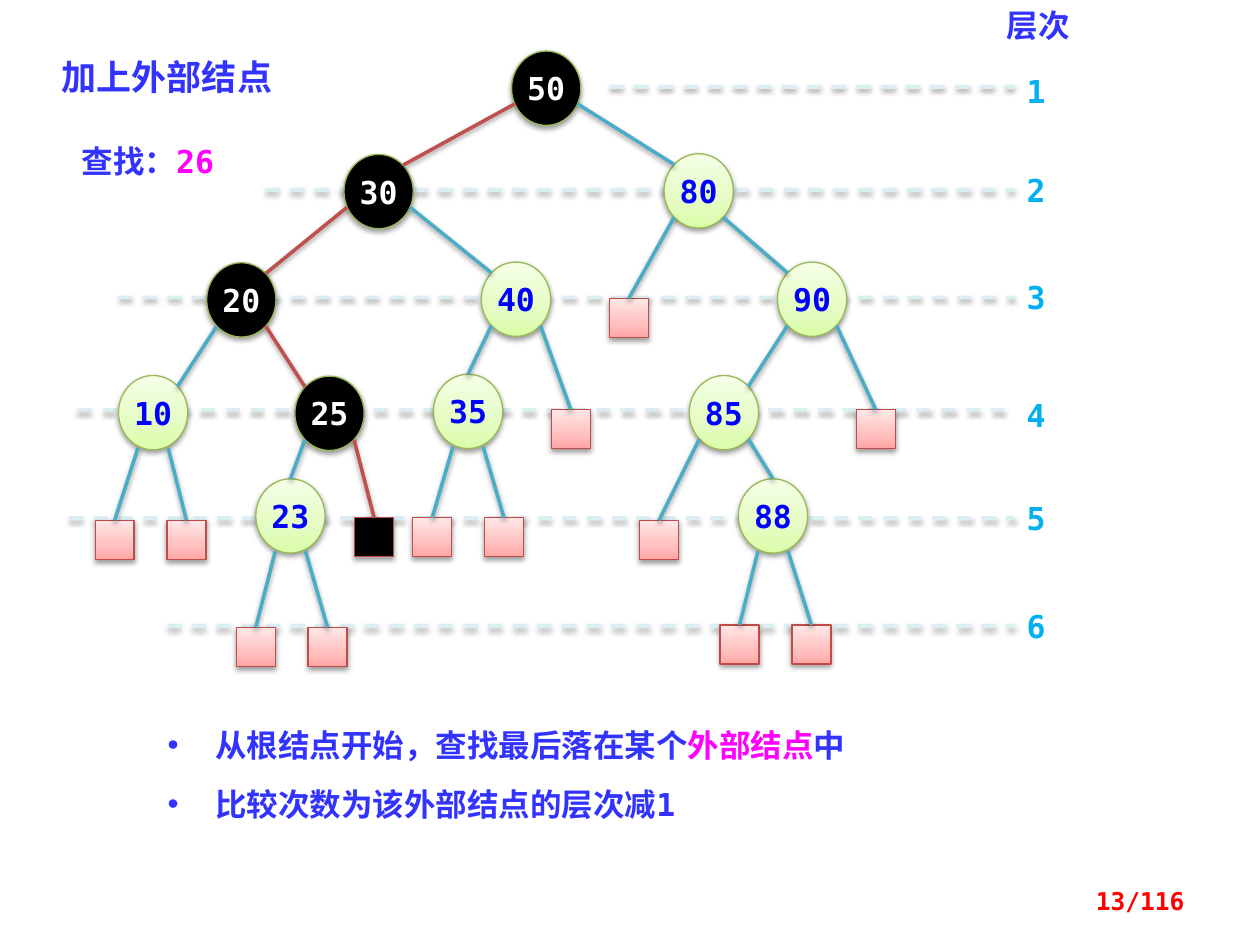
from pptx import Presentation
from pptx import util as u
from pptx.dml.color import RGBColor
from pptx.enum import dml, shapes, text
from pptx.oxml import ns
from lxml import etree

INK = RGBColor(0x33, 0x33, 0xFF)
KEY = RGBColor(0x00, 0x00, 0xFF)
PINK = RGBColor(0xFF, 0x00, 0xFF)
CYAN = RGBColor(0x00, 0xB0, 0xF0)
RED = RGBColor(0xFF, 0x00, 0x00)
BLACK = RGBColor(0x00, 0x00, 0x00)
WHITE = RGBColor(0xFF, 0xFF, 0xFF)
EDGE = RGBColor(0x4B, 0xAC, 0xC6)
VISITED = RGBColor(0xC0, 0x50, 0x4D)
GUIDE = RGBColor(0xDB, 0xEE, 0xF4)
GREEN_LINE = RGBColor(0x98, 0xB9, 0x55)
ROSE_LINE = RGBColor(0xBF, 0x4C, 0x48)
GREENS = [(0, "DAFDA7"), (35, "E4FCC2"), (100, "F5FFE7")]
ROSES = [(0, "FFA6A5"), (35, "FFC0BF"), (100, "FFE7E7")]

MONO, CJK, SERIF = "DejaVu Sans Mono", "Noto Sans CJK SC", "Times New Roman"
COLS, ROWS = 100, 75
NODE_W, NODE_H, LEAF = 5.5, 5.9, 3.1

LEVELS = [(48.4, 6.9, 5.2), (21.1, 15.1, 13.1), (9.4, 23.6, 21.6),
          (6.2, 32.5, 30.9), (5.5, 41.1, 39.1), (13.3, 49.7, 47.7)]
WIDE, DIAGONAL, STEEP = (2.5, 1.25), (1.95, 2.1), (1.2, 2.8)
NODES = {
    "50": (43.35, 7, WIDE, "30", "80"),
    "30": (30.05, 15.2, WIDE, "20", "40"),
    "80": (55.45, 15.15, DIAGONAL, (49.9, 23.7), "90"),
    "20": (19.15, 23.8, DIAGONAL, "10", "25"),
    "40": (40.95, 23.75, DIAGONAL, "35", (45.3, 32.5)),
    "90": (64.45, 23.75, DIAGONAL, "85", (69.5, 32.5)),
    "10": (12.15, 32.75, STEEP, (9.1, 41.3), (14.8, 41.3)),
    "25": (26.15, 32.8, DIAGONAL, "23", (29.7, 41.1)),
    "35": (37.15, 32.65, STEEP, (34.3, 41.1), (40, 41.1)),
    "85": (57.45, 32.75, DIAGONAL, (52.3, 41.3), "88"),
    "23": (23.05, 40.95, STEEP, (20.3, 49.8), (26, 49.8)),
    "88": (61.35, 40.95, STEEP, (58.7, 49.6), (64.4, 49.6)),
}
SEARCH = ["50", "30", "20", "25", (29.7, 41.1)]


def add_text(p, words, size=18, color=INK, font=MONO):
    r = p.add_run()
    r.text = words
    r.font.size, r.font.bold, r.font.name = u.Pt(size), True, font
    r.font.color.rgb = color
    etree.SubElement(r._r.get_or_add_rPr(), ns.qn("a:ea"), typeface=CJK)
    return r


class Board:
    def __init__(self, prs):
        self.cw, self.rh = prs.slide_width / COLS, prs.slide_height / ROWS
        self.s = prs.slides.add_slide(prs.slide_layouts[5])

    def box(self, x, y, w, h):
        return [u.Emu(round(v * k)) for v, k in
                zip((x, y, w, h), (self.cw, self.rh) * 2)]

    def shade(self, sp):
        pr = sp._element.spPr
        fx = pr.find(ns.qn("a:effectLst"))
        if fx is None:
            fx = etree.SubElement(pr, ns.qn("a:effectLst"))
        sh = etree.SubElement(fx, ns.qn("a:outerShdw"), blurRad=str(u.Pt(3.1)),
                              dist=str(u.Pt(1.6)), dir="5400000", rotWithShape="0")
        c = etree.SubElement(sh, ns.qn("a:srgbClr"), val="000000")
        etree.SubElement(c, ns.qn("a:alpha"), val="38000")

    def title(self, words, *at):
        sp = self.s.shapes.title
        sp.left, sp.top, sp.width, sp.height = self.box(*at)
        tf = sp.text_frame
        tf.auto_size, tf.word_wrap = text.MSO_AUTO_SIZE.NONE, True
        tf.vertical_anchor = text.MSO_ANCHOR.TOP
        tf.paragraphs[0].alignment = text.PP_ALIGN.LEFT
        add_text(tf.paragraphs[0], words, size=20, font=SERIF)

    def label(self, words, *at, align=text.PP_ALIGN.LEFT,
              anchor=text.MSO_ANCHOR.TOP, **style):
        tf = self.s.shapes.add_textbox(*self.box(*at)).text_frame
        tf.word_wrap, tf.vertical_anchor = True, anchor
        tf.paragraphs[0].alignment = align
        add_text(tf.paragraphs[0], words, **style)
        return tf.paragraphs[0]

    def line(self, a, b, color, dashed=False):
        sp = self.s.shapes.add_connector(
            shapes.MSO_CONNECTOR.STRAIGHT, *self.box(*a, *b))
        sp.line.color.rgb, sp.line.width = color, u.Pt(2)
        if dashed:
            sp.line.dash_style = dml.MSO_LINE.DASH
        self.shade(sp)

    def solid(self, kind, x, y, w, h, stops, line, visited):
        sp = self.s.shapes.add_shape(kind, *self.box(x - w / 2, y - h / 2, w, h))
        sp.shadow.inherit = False
        if visited:
            sp.fill.solid()
            sp.fill.fore_color.rgb = BLACK
        else:
            sp.fill.gradient()
            sp.fill.gradient_angle = 90
            gs_list = sp._element.spPr.find(".//" + ns.qn("a:gsLst"))
            gs_list.clear()
            for pos, rgb in stops:
                gs = etree.SubElement(gs_list, ns.qn("a:gs"), pos=str(pos * 1000))
                etree.SubElement(gs, ns.qn("a:srgbClr"), val=rgb)
        sp.line.color.rgb, sp.line.width = line, u.Pt(0.75)
        self.shade(sp)
        return sp

    def node(self, key, x, y, visited):
        sp = self.solid(shapes.MSO_SHAPE.OVAL, x, y, NODE_W, NODE_H,
                        GREENS, GREEN_LINE, visited)
        tf = sp.text_frame
        tf.margin_left = tf.margin_right = 0
        tf.vertical_anchor = text.MSO_ANCHOR.MIDDLE
        tf.paragraphs[0].alignment = text.PP_ALIGN.CENTER
        add_text(tf.paragraphs[0], key, color=WHITE if visited else KEY)

    def leaf(self, x, top, visited):
        self.solid(shapes.MSO_SHAPE.RECTANGLE, x, top + LEAF / 2, LEAF, LEAF,
                   ROSES, ROSE_LINE, visited)

    def bullets(self, items, *at):
        sp = self.s.shapes.add_textbox(*self.box(*at))
        sp.fill.solid()
        sp.fill.fore_color.rgb = WHITE
        tf = sp.text_frame
        tf.word_wrap = True
        tf.margin_left = u.Inches(0.16)
        tf.margin_top = tf.margin_bottom = u.Inches(0.12)
        for i, runs in enumerate(items):
            p = tf.add_paragraph() if i else tf.paragraphs[0]
            pr = p._p.get_or_add_pPr()
            pr.set("marL", str(u.Inches(0.38)))
            pr.set("indent", str(-u.Inches(0.38)))
            etree.SubElement(pr, ns.qn("a:buFont"), typeface="Arial")
            etree.SubElement(pr, ns.qn("a:buChar"), char="•")
            p.line_spacing = u.Pt(28)
            if i:
                p.space_before = u.Pt(6)
            for words, color in runs:
                add_text(p, words, color=color)


def draw_tree(board):
    steps = set(zip(SEARCH, SEARCH[1:]))
    for key, (x, y, *_) in NODES.items():
        board.node(key, x, y, key in SEARCH)
    for key, (x, y, (dx, dy), *kids) in NODES.items():
        for side, kid in zip((-1, 1), kids):
            if kid in NODES:
                kx, ky = NODES[kid][:2]
                near = abs(kx - x) < 5
                end = ((kx, ky - NODE_H / 2) if near else
                       (kx - side * DIAGONAL[0], ky - DIAGONAL[1]))
            else:
                end = kid
                board.leaf(*kid, kid in SEARCH)
            board.line((x + side * dx, y + dy), end,
                       VISITED if (key, kid) in steps else EDGE)


def main():
    prs = Presentation()
    prs.slide_width, prs.slide_height = u.Inches(10), u.Inches(7.5)
    board = Board(prs)
    board.title("加上外部结点", 3.9, 3.9, 24.2, 4.4)
    p = board.label("查找：", 5.5, 10.8, 14.8, 4)
    add_text(p, "26", color=PINK)
    board.label("层次", 78.9, 0, 8.6, 4, font=CJK)
    for n, (start, y, top) in enumerate(LEVELS, 1):
        board.line((start, y), (80.5, y), GUIDE, dashed=True)
        board.label(str(n), 80.5, top, 3.9, 4, color=CYAN)
    draw_tree(board)
    board.bullets([[("从根结点开始，查找最后落在某个", INK), ("外部结点", PINK), ("中", INK)],
                   [("比较次数为该外部结点的层次减1", INK)]], 11.7, 55.5, 61.7, 11.1)
    board.label("13/116", 71.7, 69.5, 23.3, 4, size=14, color=RED,
                align=text.PP_ALIGN.RIGHT, anchor=text.MSO_ANCHOR.MIDDLE)
    prs.save("out.pptx")


if __name__ == "__main__":
    main()
